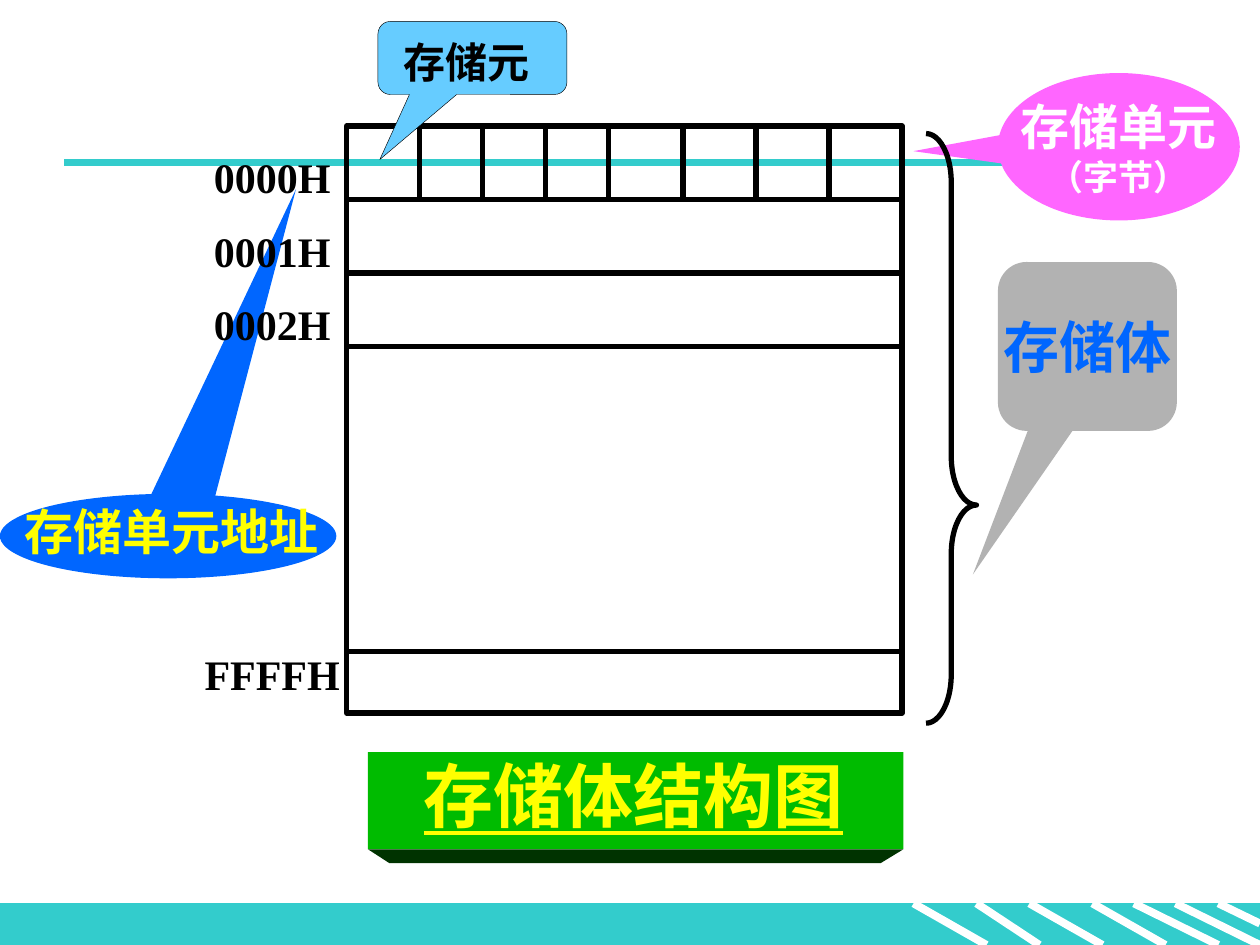
from lxml.etree import SubElement
from pptx import Presentation
from pptx.dml.color import RGBColor
from pptx.enum.shapes import MSO_CONNECTOR, MSO_SHAPE
from pptx.enum.text import MSO_ANCHOR, PP_ALIGN
from pptx.oxml.ns import qn
from pptx.util import Inches, Pt

BLACK = RGBColor(0x00, 0x00, 0x00)
WHITE = RGBColor(0xFF, 0xFF, 0xFF)
TEAL = RGBColor(0x33, 0xCC, 0xCC)
BLUE = RGBColor(0x00, 0x66, 0xFF)
SKY = RGBColor(0x66, 0xCC, 0xFF)
PINK = RGBColor(0xFF, 0x66, 0xFF)
GRAY = RGBColor(0xB2, 0xB2, 0xB2)
YELLOW = RGBColor(0xFF, 0xFF, 0x00)
GREEN = RGBColor(0x00, 0xBB, 0x00)
DARK_GREEN = RGBColor(0x00, 0x33, 0x00)
SERIF, SANS = "Times New Roman", "Noto Sans CJK SC"

# Content: lines are (text, size)
ADDRESSES = ["0000H", "0001H", "0002H", "FFFFH"]
BIT_LABEL = [("存储元", 24)]
UNIT_LABEL = [("存储单元", 28), ("（字节）", 20)]
BODY_LABEL = [("存储体", 32)]
ADDRESS_LABEL = [("存储单元地址", 28)]
TITLE = [("存储体结构图", 40)]

# Layout in inches
WIDTH, HEIGHT = 10, 7.5
FOOTER_TOP = 7.17
HATCHES = [(7.25, 7.83), (7.75, 8.25), (8.17, 8.75), (8.67, 9.25), (9, 9.67), (9.33, 10)]
LEFT, TOP, RIGHT, BOTTOM = 2.75, 1, 7.16, 5.66
ROW_PITCH = 42  # points
ROW_LINES = [TOP + ROW_PITCH / 72 * row for row in (1, 2, 3)] + [5.17]
BIT_LINES = [3.33, 3.83, 4.33, 4.83, 5.42, 6, 6.58]
ADDRESS_GAP = 158  # points skipped before the last address

deck = Presentation()
deck.slide_width, deck.slide_height = Inches(WIDTH), Inches(HEIGHT)
page = deck.slides.add_slide(deck.slide_layouts[6])


def add_line(x1, y1, x2, y2, color, width):
    line = page.shapes.add_connector(MSO_CONNECTOR.STRAIGHT, *map(Inches, (x1, y1, x2, y2)))
    line.line.color.rgb = color
    line.line.width = Pt(width)
    SubElement(line._element.spPr, qn("a:effectLst"))


def paint(shape, fill=None, line=None, width=0.75):
    shape.shadow.inherit = False
    if fill is None:
        shape.fill.background()
    else:
        shape.fill.solid()
        shape.fill.fore_color.rgb = fill
    if line is None:
        shape.line.fill.background()
    else:
        shape.line.color.rgb = line
        shape.line.width = Pt(width)


def add_shape(kind, place, fill=None, line=None, width=0.75, adjust=()):
    shape = page.shapes.add_shape(kind, *map(Inches, place))
    paint(shape, fill, line, width)
    for index, value in enumerate(adjust):
        shape.adjustments[index] = value
    return shape


def add_span(para, text, size, color, font=SERIF, underline=None):
    para.alignment = PP_ALIGN.CENTER
    span = para.add_run()
    span.text = text
    span.font.size, span.font.name = Pt(size), font
    span.font.bold, span.font.underline = True, underline
    span.font.color.rgb = color
    SubElement(span._r.get_or_add_rPr(), qn("a:ea"), typeface=SANS)


def write(shape, lines, color, **style):
    frame = shape.text_frame
    frame.word_wrap = False
    frame.vertical_anchor = MSO_ANCHOR.MIDDLE
    for index, (text, size) in enumerate(lines):
        para = frame.add_paragraph() if index else frame.paragraphs[0]
        add_span(para, text, size, color, **style)


def add_text(place, lines, color, **style):
    write(page.shapes.add_textbox(*map(Inches, place)), lines, color, **style)


# Footer band with hatching, and the rule across the top
add_shape(MSO_SHAPE.RECTANGLE, (0, FOOTER_TOP, WIDTH, HEIGHT - FOOTER_TOP), TEAL, TEAL)
for start, end in HATCHES:
    add_line(start, FOOTER_TOP, end, HEIGHT, WHITE, 4.5)
add_line(9.67, FOOTER_TOP, WIDTH, 7.33, WHITE, 4.5)
add_line(0.51, 1.29, 9.76, 1.29, TEAL, 4.5)

# Memory grid
add_shape(MSO_SHAPE.RECTANGLE, (LEFT, TOP, RIGHT - LEFT, BOTTOM - TOP), line=BLACK, width=3)
for y in ROW_LINES:
    add_line(LEFT, y, RIGHT, y, BLACK, 3)
for x in BIT_LINES:
    add_line(x, TOP, x, ROW_LINES[0], BLACK, 3)

# Address callout, then the addresses over its tail
add_shape(MSO_SHAPE.OVAL_CALLOUT, (0, 3.92, 2.67, 0.67), BLUE, adjust=(0.38, -4.11))
add_text((0.08, 3.93, 2.56, 0.57), ADDRESS_LABEL, YELLOW)
box = page.shapes.add_textbox(*map(Inches, (1.5, 0.97, 1.32, 4.67)))
box.text_frame.word_wrap = True
for index, address in enumerate(ADDRESSES):
    para = box.text_frame.add_paragraph() if index else box.text_frame.paragraphs[0]
    para.line_spacing = Pt(ROW_PITCH)
    add_span(para, address, 24, BLACK)
para.space_before = Pt(ADDRESS_GAP)

# Title block with its bevelled lower edge
add_shape(MSO_SHAPE.RECTANGLE, (2.92, 5.97, 4.25, 0.77), GREEN)
edge = page.shapes.build_freeform(Inches(2.92), Inches(6.74), scale=1)
edge.add_line_segments([(Inches(x), Inches(y)) for x, y in ((7.17, 6.74), (6.99, 6.85), (3.09, 6.85))])
paint(edge.convert_to_shape(), DARK_GREEN)
add_text((3.25, 5.92, 3.56, 0.77), TITLE, YELLOW, font=SANS, underline=True)

# Callouts for the bit, the unit and the whole body
add_shape(MSO_SHAPE.ROUNDED_RECTANGULAR_CALLOUT, (3, 0.17, 1.5, 0.58), SKY, BLACK, 0.25, (-0.49, 1.39, 0.17))
add_text((3.1, 0.24, 1.21, 0.5), BIT_LABEL, BLACK)
unit = add_shape(MSO_SHAPE.OVAL_CALLOUT, (7.92, 0.58, 1.92, 1.17), PINK, adjust=(-0.85, 0.03))
write(unit, UNIT_LABEL, WHITE)
add_shape(MSO_SHAPE.RIGHT_BRACE, (7.35, 1.06, 0.4, 4.68), line=BLACK, width=3, adjust=(0.97, 0.63))
body = add_shape(MSO_SHAPE.ROUNDED_RECTANGULAR_CALLOUT, (7.92, 2.08, 1.42, 1.34), GRAY, adjust=(-0.64, 1.35, 0.17))
write(body, BODY_LABEL, BLUE)

deck.save("out.pptx")
